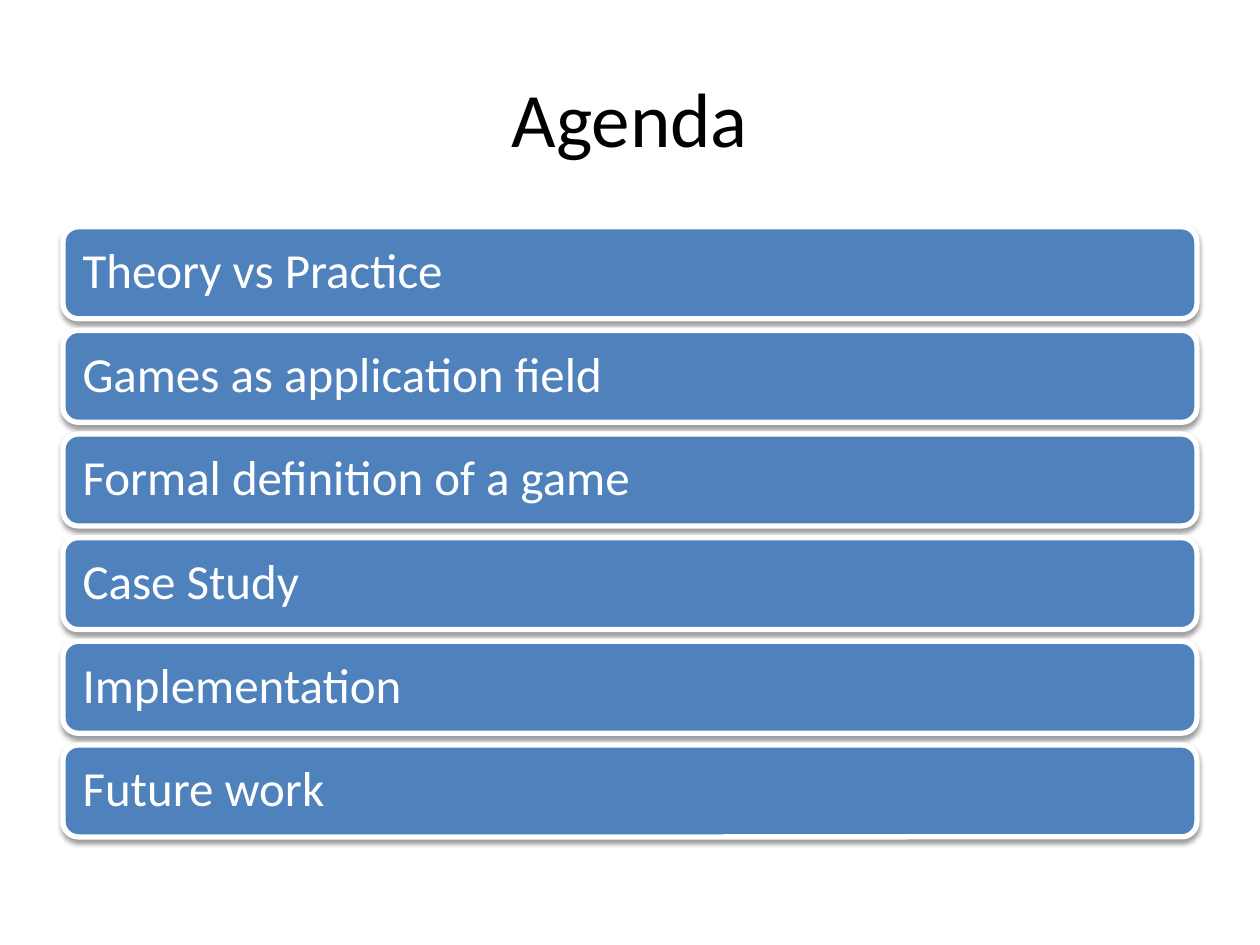
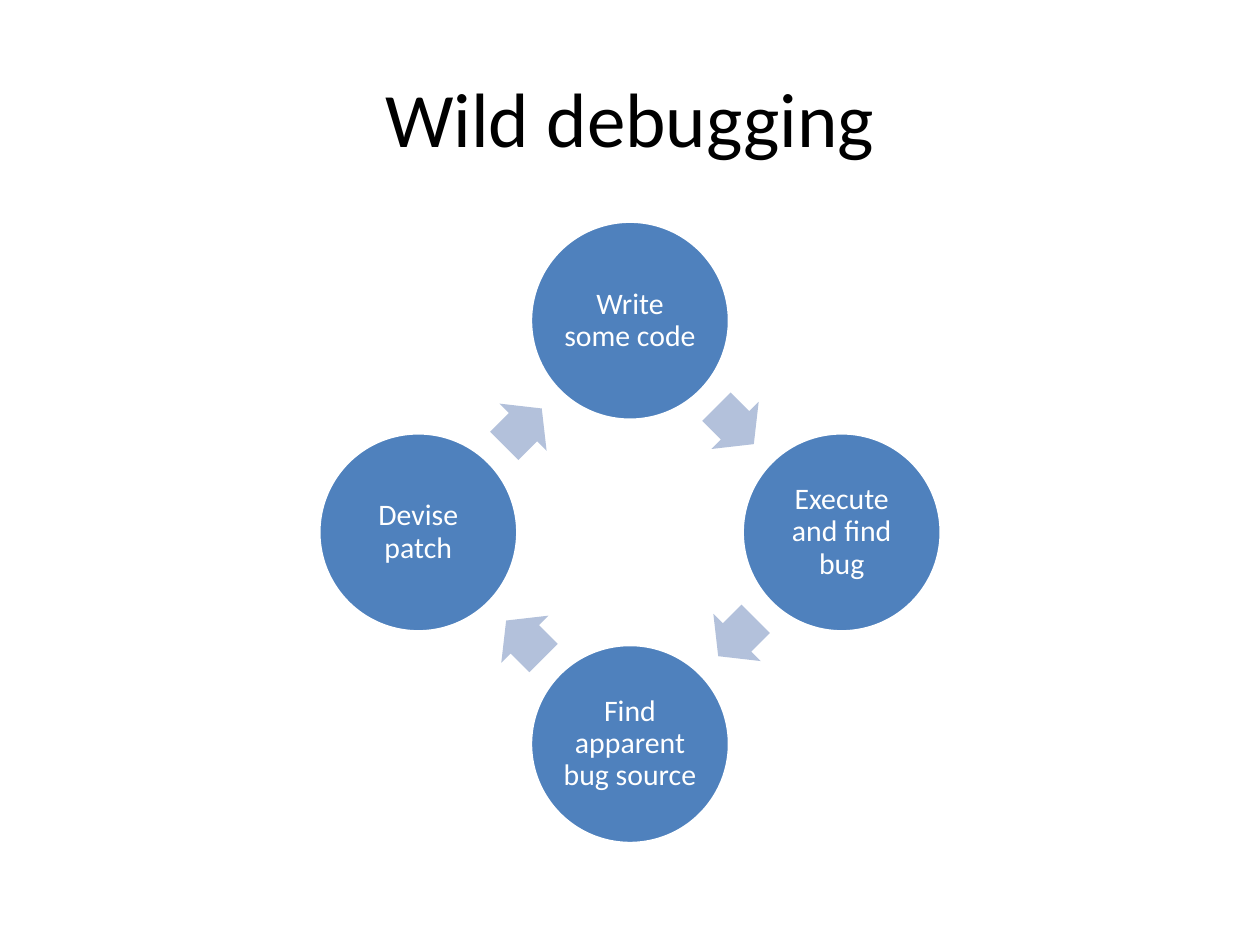
from math import cos, radians, sin

from lxml import etree
from pptx import Presentation
from pptx.dml.color import RGBColor
from pptx.enum.shapes import MSO_SHAPE
from pptx.enum.text import MSO_ANCHOR, PP_ALIGN
from pptx.oxml.ns import qn
from pptx.util import Inches, Pt

ROUNDED, CIRCLE, ARROW = MSO_SHAPE.ROUNDED_RECTANGLE, MSO_SHAPE.OVAL, MSO_SHAPE.RIGHT_ARROW
LEFT, CENTER, MIDDLE = PP_ALIGN.LEFT, PP_ALIGN.CENTER, MSO_ANCHOR.MIDDLE

WIDTH, HEIGHT = 10, 7.5
COLUMNS, ROWS = 20, 15
BLUE, PALE_BLUE, WHITE, BLACK = "4F81BD", "B3C1DB", "FFFFFF", "000000"
FONT = "Calibri"

AGENDA = ["Theory vs Practice", "Games as application field", "Formal definition of a game",
          "Case Study", "Implementation", "Future work"]
DEBUGGING_STEPS = ["Write some code", "Execute and find bug",
                   "Find apparent bug source", "Devise patch"]


def color(value):
    return RGBColor.from_string(value)


def columns(count):
    return Inches(count * WIDTH / COLUMNS)


def rows(count):
    return Inches(count * HEIGHT / ROWS)


def on_ring(center, radius, angle):
    """Point on a circle, with the angle in degrees clockwise from the top."""
    turn = radians(angle)
    return center[0] + radius * sin(turn), center[1] - radius * cos(turn)


class Deck:
    def __init__(self):
        self.presentation = Presentation()
        self.presentation.slide_width = Inches(WIDTH)
        self.presentation.slide_height = Inches(HEIGHT)
        self.page = None

    def add_page(self, title):
        self.page = self.presentation.slides.add_slide(self.presentation.slide_layouts[6])
        box = self.page.shapes.add_textbox(columns(1), rows(0.6), columns(18), rows(2.5))
        self.set_text(box, title, 44, BLACK, CENTER)

    def set_text(self, box, text, size, text_color, align, inset=0.1, line_spacing=1.0):
        frame = box.text_frame
        frame.word_wrap = True
        frame.vertical_anchor = MIDDLE
        frame.margin_left = frame.margin_right = Inches(inset)
        frame.margin_top = frame.margin_bottom = Inches(inset)
        para = frame.paragraphs[0]
        para.text = text
        para.alignment = align
        para.line_spacing = line_spacing
        para.font.name = FONT
        para.font.size = Pt(size)
        para.font.color.rgb = color(text_color)

    def shape(self, kind, left, top, width, height, fill, line_width=0):
        shape = self.page.shapes.add_shape(
            kind, columns(left), rows(top), columns(width), rows(height))
        shape.shadow.inherit = False
        shape.fill.solid()
        shape.fill.fore_color.rgb = color(fill)
        if line_width:
            shape.line.color.rgb = color(WHITE)
            shape.line.width = Pt(line_width)
        else:
            shape.line.fill.background()
        return shape

    def drop_shadow(self, shape):
        effects = shape._element.spPr.find(qn("a:effectLst"))
        shadow = etree.SubElement(effects, qn("a:outerShdw"), blurRad=str(Pt(3.1)),
                                  dist=str(Pt(1.6)), dir="5400000", rotWithShape="0")
        shade = etree.SubElement(shadow, qn("a:srgbClr"), val=BLACK)
        etree.SubElement(shade, qn("a:alpha"), val="38000")

    def bar(self, text, top):
        bar = self.shape(ROUNDED, 1, top, 18, 1.46, BLUE, 3)
        self.drop_shadow(bar)
        self.set_text(bar, text, 28, WHITE, LEFT, 0.12, 0.9)

    def circle(self, text, center, size):
        x, y = center
        circle = self.shape(CIRCLE, x - size / 2, y - size / 2, size, size, BLUE, 2)
        self.set_text(circle, text, 17, WHITE, CENTER, 0.02, 0.9)

    def arrow(self, center, width, height, rotation):
        x, y = center
        arrow = self.shape(ARROW, x - width / 2, y - height / 2, width, height, PALE_BLUE)
        arrow.adjustments[0], arrow.adjustments[1] = 0.6, 0.5
        arrow.rotation = rotation


def build_agenda(deck):
    deck.add_page("Agenda")
    for index, topic in enumerate(AGENDA):
        deck.bar(topic, 3.6 + index * 1.645)


def build_debugging_cycle(deck):
    deck.add_page("Wild debugging")
    center = (10, 8.45)
    step_angle = 360 / len(DEBUGGING_STEPS)
    for index, step in enumerate(DEBUGGING_STEPS):
        angle = index * step_angle
        deck.circle(step, on_ring(center, 3.36, angle), 3.16)
        deck.arrow(on_ring(center, 2.38, angle + 44.5), 0.84, 1.06, angle + step_angle / 2)


def main():
    deck = Deck()
    build_agenda(deck)
    build_debugging_cycle(deck)
    deck.presentation.save("out.pptx")


if __name__ == "__main__":
    main()
